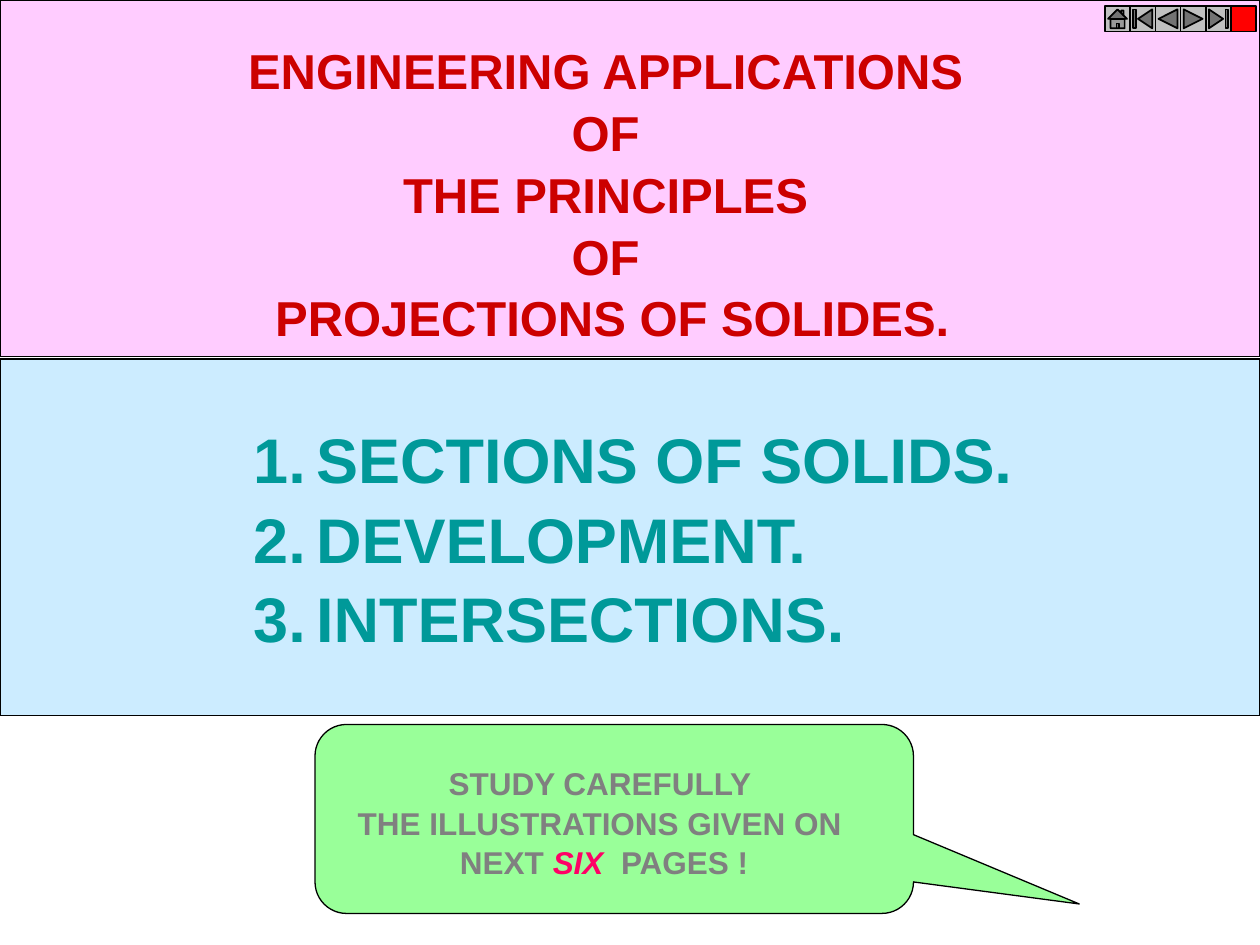
from dataclasses import dataclass

from lxml.etree import SubElement
from pptx import Presentation
from pptx.dml.color import RGBColor
from pptx.enum.shapes import MSO_SHAPE
from pptx.enum.text import MSO_ANCHOR, MSO_AUTO_SIZE, PP_ALIGN
from pptx.oxml.ns import qn
from pptx.util import Inches, Pt


@dataclass(frozen=True)
class Theme:
    font: str = "Arial"
    heading: str = "CC0000"
    topic: str = "009999"
    advice: str = "808080"
    emphasis: str = "FF0066"
    heading_panel: str = "FFCCFF"
    topic_panel: str = "CCECFF"
    callout: str = "99FF99"
    button: str = "C0C0C0"
    stop_button: str = "FF0000"
    outline: str = "000000"
    heading_size: int = 28
    topic_size: int = 36
    advice_size: int = 18
    outline_width: float = 0.75
    button_outline: float = 1
    line_spacing: float = 1.05


class SlideBuilder:
    COLUMNS, ROWS = 100, 75

    def __init__(self, theme):
        self.theme = theme
        self.deck = Presentation()
        self.deck.slide_width, self.deck.slide_height = Inches(10), Inches(7.5)
        self.slide = self.deck.slides.add_slide(self.deck.slide_layouts[1])

    def area(self, column, row, columns, rows):
        across = self.deck.slide_width / self.COLUMNS
        down = self.deck.slide_height / self.ROWS
        return [round(n) for n in (column * across, row * down, columns * across, rows * down)]

    def panel(self, preset, area, fill, width=None, parent=None):
        panel = (parent or self.slide).shapes.add_shape(preset, *self.area(*area))
        panel.shadow.inherit = False
        panel.fill.solid()
        panel.fill.fore_color.rgb = RGBColor.from_string(fill)
        panel.line.color.rgb = RGBColor.from_string(self.theme.outline)
        panel.line.width = Pt(width or self.theme.outline_width)
        return panel

    def callout(self, area, fill, adjustments):
        callout = self.panel(MSO_SHAPE.ROUNDED_RECTANGULAR_CALLOUT, area, fill)
        for position, value in enumerate(adjustments):
            callout.adjustments[position] = value

    def set_lines(self, holder, area, lines, size, color, numbered=False):
        holder.left, holder.top, holder.width, holder.height = self.area(*area)
        frame = holder.text_frame
        frame.word_wrap = False
        frame.auto_size = MSO_AUTO_SIZE.SHAPE_TO_FIT_TEXT
        frame.vertical_anchor = MSO_ANCHOR.TOP
        for position, line in enumerate(lines):
            paragraph = frame.add_paragraph() if position else frame.paragraphs[0]
            if numbered:
                self.number(paragraph, color)
            paragraph.alignment = PP_ALIGN.LEFT if numbered else PP_ALIGN.CENTER
            paragraph.line_spacing = self.theme.line_spacing
            paragraph.space_before = Pt(0)
            paragraph.font.name = self.theme.font
            paragraph.font.size = Pt(size)
            paragraph.font.bold = True
            paragraph.font.color.rgb = RGBColor.from_string(color)
            for text, accent in line:
                run = paragraph.add_run()
                run.text = text
                if accent:
                    run.font.italic = True
                    run.font.color.rgb = RGBColor.from_string(accent)

    def number(self, paragraph, color):
        properties = paragraph._p.get_or_add_pPr()
        properties.set("marL", str(Inches(0.5)))
        properties.set("indent", str(-Inches(0.5)))
        SubElement(SubElement(properties, qn("a:buClr")), qn("a:srgbClr")).set("val", color)
        SubElement(properties, qn("a:buAutoNum")).set("type", "arabicPeriod")

    def bring_forward(self, placeholder):
        self.slide.shapes._spTree.append(placeholder._element)
        return placeholder

    def title(self, area, lines):
        self.set_lines(self.bring_forward(self.slide.shapes.title), area,
                       [[(line, None)] for line in lines],
                       self.theme.heading_size, self.theme.heading)

    def topics(self, area, lines):
        self.set_lines(self.bring_forward(self.slide.placeholders[1]), area,
                       [[(line, None)] for line in lines],
                       self.theme.topic_size, self.theme.topic, numbered=True)

    def advice(self, area, lines):
        self.set_lines(self.slide.shapes.add_textbox(*self.area(*area)), area, lines,
                       self.theme.advice_size, self.theme.advice)

    def navigation(self, column, row, side, buttons):
        bar = self.slide.shapes.add_group_shape()
        for position, (preset, fill) in enumerate(buttons):
            self.panel(preset, (column + position * side, row, side, side), fill,
                       self.theme.button_outline, bar)

    def save(self):
        self.deck.save("out.pptx")


def main():
    theme = Theme()
    page = SlideBuilder(theme)
    page.callout((25, 57.5, 47.5, 15), theme.callout, (0.777, 0.45, 0.167))
    page.panel(MSO_SHAPE.RECTANGLE, (0, 28.5, 100, 28.3), theme.topic_panel)
    page.panel(MSO_SHAPE.RECTANGLE, (0, 0, 100, 28.3), theme.heading_panel)
    page.topics((19.1, 32.6, 62.3, 19),
                ["SECTIONS OF SOLIDS.", "DEVELOPMENT.", "INTERSECTIONS."])
    page.title((18.5, 2.5, 60.2, 24.4),
               ["ENGINEERING APPLICATIONS ", "OF ", "THE PRINCIPLES ", "OF ",
                "PROJECTIONS OF SOLIDES."])
    page.advice((27.3, 60, 41.3, 10),
                [[("STUDY CAREFULLY ", None)],
                 [("THE ILLUSTRATIONS GIVEN ON ", None)],
                 [("NEXT ", None), ("SIX  ", theme.emphasis), ("PAGES !", None)]])
    page.navigation(87.7, 0.5, 2, [
        (MSO_SHAPE.ACTION_BUTTON_HOME, theme.button),
        (MSO_SHAPE.ACTION_BUTTON_BEGINNING, theme.button),
        (MSO_SHAPE.ACTION_BUTTON_BACK_OR_PREVIOUS, theme.button),
        (MSO_SHAPE.ACTION_BUTTON_FORWARD_OR_NEXT, theme.button),
        (MSO_SHAPE.ACTION_BUTTON_END, theme.button),
        (MSO_SHAPE.ACTION_BUTTON_CUSTOM, theme.stop_button),
    ])
    page.save()


if __name__ == "__main__":
    main()
